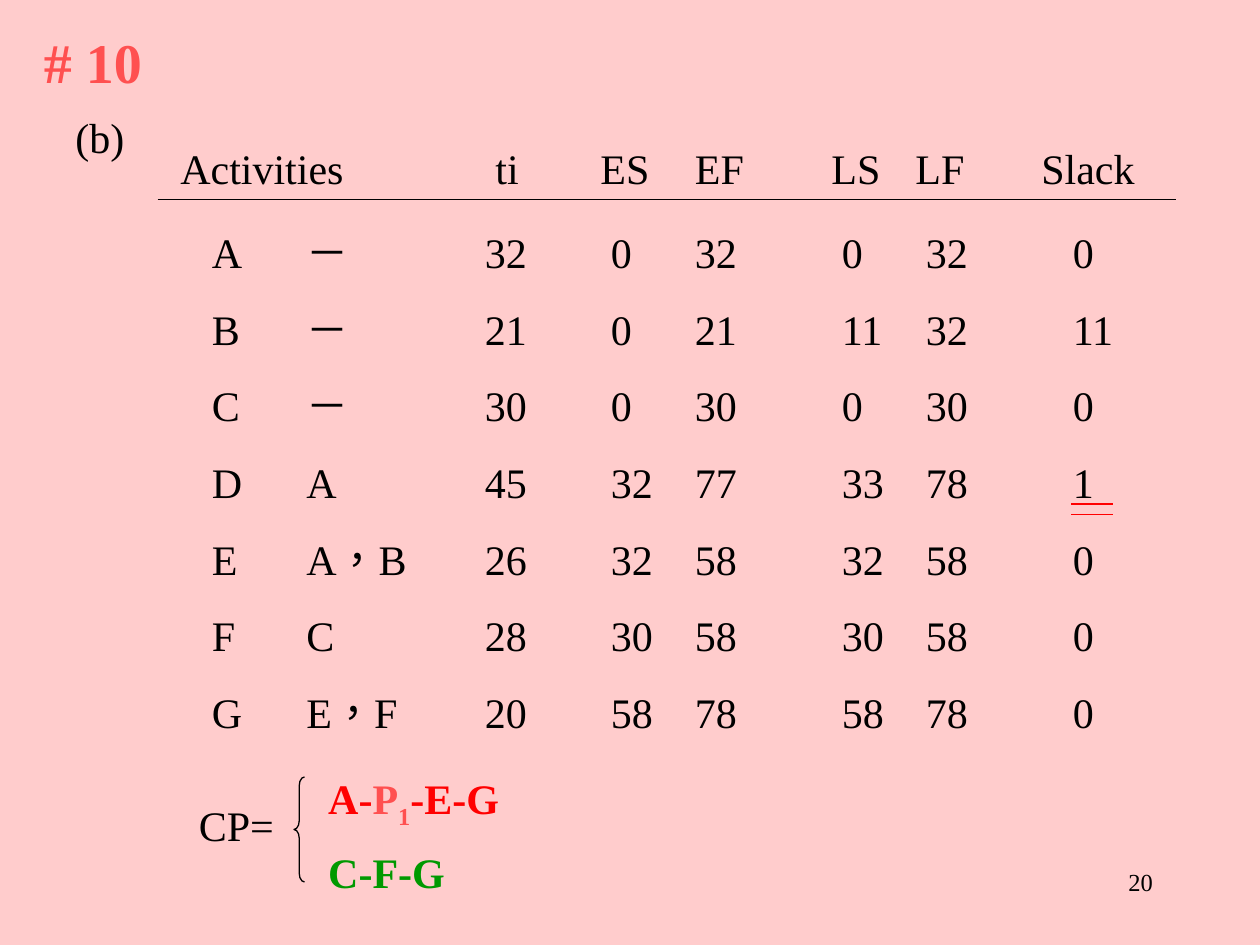
from pptx import Presentation
from pptx.dml.color import RGBColor
from pptx.enum.shapes import MSO_CONNECTOR, MSO_SHAPE
from pptx.enum.text import MSO_AUTO_SIZE, PP_ALIGN
from pptx.oxml.ns import qn
from pptx.util import Pt
from lxml import etree

LINE = MSO_CONNECTOR.STRAIGHT
BRACE = MSO_SHAPE.LEFT_BRACE
FIT = MSO_AUTO_SIZE.SHAPE_TO_FIT_TEXT
FIXED = MSO_AUTO_SIZE.NONE
RIGHT = PP_ALIGN.RIGHT
HUES = {"back": "FFCCCC", "ink": "000000", "head": "FF5050",
        "red": "FF0000", "green": "009900"}

prs = Presentation()
prs.slide_width, prs.slide_height = Pt(720), Pt(540)
slide = prs.slides.add_slide(prs.slide_layouts[6])
slide.background.fill.solid()
slide.background.fill.fore_color.rgb = RGBColor.from_string(HUES["back"])


def write(x, y, w, h, paras, gap=0, wrap=False, size=24):
    """Add a text box; each paragraph is a list of (text, hue, bold) runs."""
    box = slide.shapes.add_textbox(Pt(x), Pt(y), Pt(w), Pt(h))
    frame = box.text_frame
    frame.word_wrap = wrap
    frame.auto_size = FIT
    for i, runs in enumerate(paras):
        para = frame.add_paragraph() if i else frame.paragraphs[0]
        if i:
            para.space_before = Pt(gap)
        for words, hue, bold in runs:
            run = para.add_run()
            run.text = words
            form = {"name": "Times New Roman", "size": Pt(size), "bold": bold}
            for key, val in form.items():
                setattr(run.font, key, val)
            run.font.color.rgb = RGBColor.from_string(HUES[hue])
            # Traditional Chinese centres the full-width comma
            run.font._element.set("lang", "zh-TW")
    return frame


def rule(x, y, end, hue):
    """Add a thin level line from x to end."""
    line = slide.shapes.add_connector(LINE, Pt(x), Pt(y), Pt(end), Pt(y))
    line.line.color.rgb = RGBColor.from_string(HUES[hue])
    line.line.width = Pt(0.75)
    etree.SubElement(line._element.spPr, qn("a:effectLst"))


# Title and part label
write(18, 12, 71, 46, [[("# 10", "head", True)]], size=32)
write(36, 60, 43, 36, [[("(b)", "ink", False)]])

# Schedule: headings, then one text column per field
rule(90, 114, 672, "ink")
heads = [("Activities", 96, 108), ("ti", 276, 28), ("ES", 336, 43),
         ("EF", 390, 43), ("LS", 468, 43), ("LF", 516, 43),
         ("Slack", 588, 68)]
for name, x, w in heads:
    write(x, 78, w, 36, [[(name, "ink", False)]])

cols = [(114, 36, 299, "A B C D E F G"),
        (168, 90, 343, "－ － － A A，B C E，F"),
        (270, 42, 299, "32 21 30 45 26 28 20"),
        (342, 42, 299, "0 0 0 32 32 30 58"),
        (390, 42, 343, "32 21 30 77 58 58 78"),
        (474, 42, 299, "0 11 0 33 32 30 58"),
        (522, 42, 299, "32 32 30 78 58 58 78"),
        (606, 42, 299, "0 11 0 1 0 0 0")]
for x, w, h, cells in cols:
    write(x, 126, w, h, [[(cell, "ink", False)] for cell in cells.split()],
          gap=15, wrap=True)

# Double underline below the slack of D
for y in (288, 294):
    rule(612, y, 636, "red")

# Critical paths
write(106.5, 453.5, 59, 36, [[("CP=", "ink", False)]])
brace = slide.shapes.add_shape(BRACE, Pt(168), Pt(444), Pt(6), Pt(60))
brace.shadow.inherit = False
brace.adjustments[0] = 0.83
brace.fill.background()
brace.line.color.rgb = RGBColor.from_string(HUES["ink"])
brace.line.width = Pt(0.75)

routes = write(180.5, 438, 114, 78.5, [
    [("A-", "red", True), ("P", "head", True), ("1", "head", True),
     ("-E-G", "red", True)],
    [("C-F-G", "green", True)]], gap=9.5)
sub = routes.paragraphs[0].runs[2]
sub.font._element.set("baseline", "-25000")

# Page number
page = write(516, 492, 150, 36, [[("20", "ink", False)]], wrap=True, size=14)
page.auto_size = FIXED
page.paragraphs[0].alignment = RIGHT

prs.save("out.pptx")
